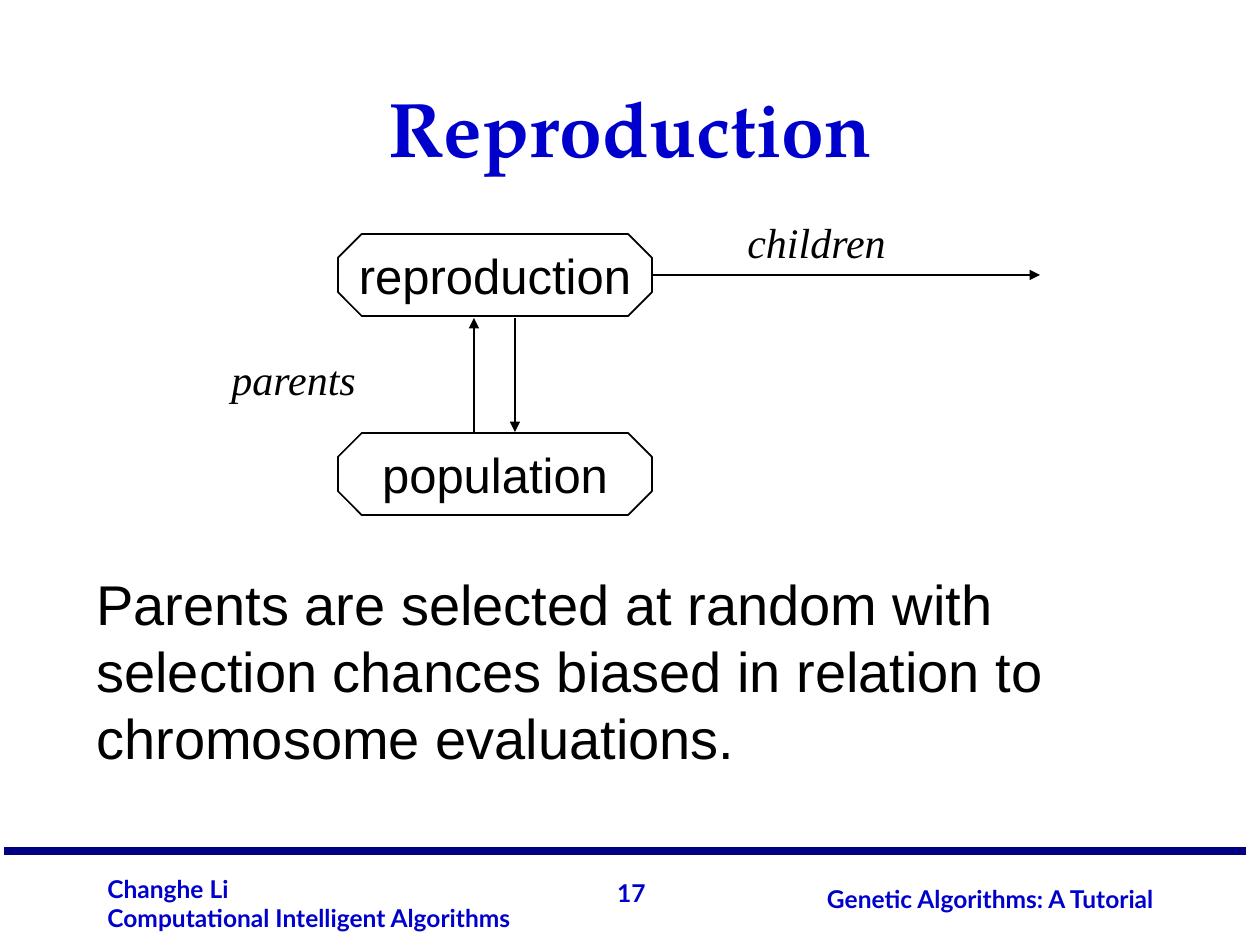
from pptx import Presentation
from pptx.dml.color import RGBColor
from pptx.enum.shapes import MSO_CONNECTOR, MSO_SHAPE
from pptx.enum.text import MSO_ANCHOR, PP_ALIGN
from pptx.oxml.ns import qn
from pptx.util import Emu, Pt
from lxml import etree

LEFT, MID, RIGHT = PP_ALIGN.LEFT, PP_ALIGN.CENTER, PP_ALIGN.RIGHT
TOP, CENTER, BASE = MSO_ANCHOR.TOP, MSO_ANCHOR.MIDDLE, MSO_ANCHOR.BOTTOM
OCTAGON = MSO_SHAPE.OCTAGON
STRAIGHT = MSO_CONNECTOR.STRAIGHT

COLORS = {"ink": "000000", "blue": "0000CC", "navy": "000080", "white": "FFFFFF"}
SCALE = 914400 / 126


def px(n):
    return Emu(round(n * SCALE))


def color(name):
    return RGBColor.from_string(COLORS[name])


def write(shape, text, font, size, ink="ink", bold=False, italic=False,
          align=LEFT, anchor=TOP, wrap=False):
    frame = shape.text_frame
    frame.text = text
    frame.word_wrap = wrap
    frame.vertical_anchor = anchor
    for para in frame.paragraphs:
        para.alignment = align
        for run in para.runs:
            run.font.name = font
            run.font.size = Pt(size)
            run.font.bold = bold
            run.font.italic = italic
            run.font.color.rgb = color(ink)


def add_text(slide, box, text, font, size, **style):
    shape = slide.shapes.add_textbox(*map(px, box))
    write(shape, text, font, size, **style)


def add_stage(slide, top, text):
    shape = slide.shapes.add_shape(OCTAGON, px(338), px(top), px(314), px(82))
    shape.adjustments[0] = 0.29
    shape.shadow.inherit = False
    shape.fill.solid()
    shape.fill.fore_color.rgb = color("white")
    shape.line.color.rgb = color("ink")
    shape.line.width = Pt(1)
    write(shape, text, "Arial", 28, align=MID, anchor=CENTER)


def add_line(slide, ends, ink="ink", width=1, arrow=True):
    line = slide.shapes.add_connector(STRAIGHT, *map(px, ends))
    line.line.color.rgb = color(ink)
    line.line.width = Pt(width)
    props = line._element.spPr
    if arrow:
        etree.SubElement(props.find(qn("a:ln")), qn("a:tailEnd"), type="triangle")
    etree.SubElement(props, qn("a:effectLst"))


def add_footer(slide):
    style = {"ink": "blue", "bold": True, "anchor": CENTER}
    add_text(slide, (604, 872, 54, 42), "17", "Lato", 14, align=RIGHT, **style)
    add_text(slide, (95, 867, 473, 72),
             "Changhe Li\nComputational Intelligent Algorithms",
             "Lato", 14, wrap=True, **style)
    add_line(slide, (4, 851, 1246, 851), "navy", 4.5, arrow=False)
    add_text(slide, (746, 878, 420, 42), "Genetic Algorithms: A Tutorial",
             "Lato", 14, align=RIGHT, wrap=True, **style)


def add_flow(slide):
    add_stage(slide, 234, "reproduction")
    add_stage(slide, 433, "population")
    for ends in ((653, 275, 1040, 275), (474, 432, 474, 318), (515, 318, 515, 432)):
        add_line(slide, ends)
    for box, text in (((219, 347, 151, 63), "parents"),
                      ((735, 210, 165, 63), "children")):
        add_text(slide, box, text, "Times New Roman", 24, italic=True)


def main():
    deck = Presentation()
    deck.slide_width, deck.slide_height = px(1260), px(945)
    slide = deck.slides.add_slide(deck.slide_layouts[6])
    add_footer(slide)
    add_text(slide, (95, 32, 1071, 147), "Reproduction", "TeX Gyre Pagella", 44,
             ink="blue", bold=True, align=MID, anchor=BASE, wrap=True)
    add_flow(slide)
    add_text(slide, (84, 563, 1091, 214),
             "Parents are selected at random with selection chances biased "
             "in relation to chromosome evaluations.", "Arial", 32, wrap=True)
    deck.save("out.pptx")


if __name__ == "__main__":
    main()
